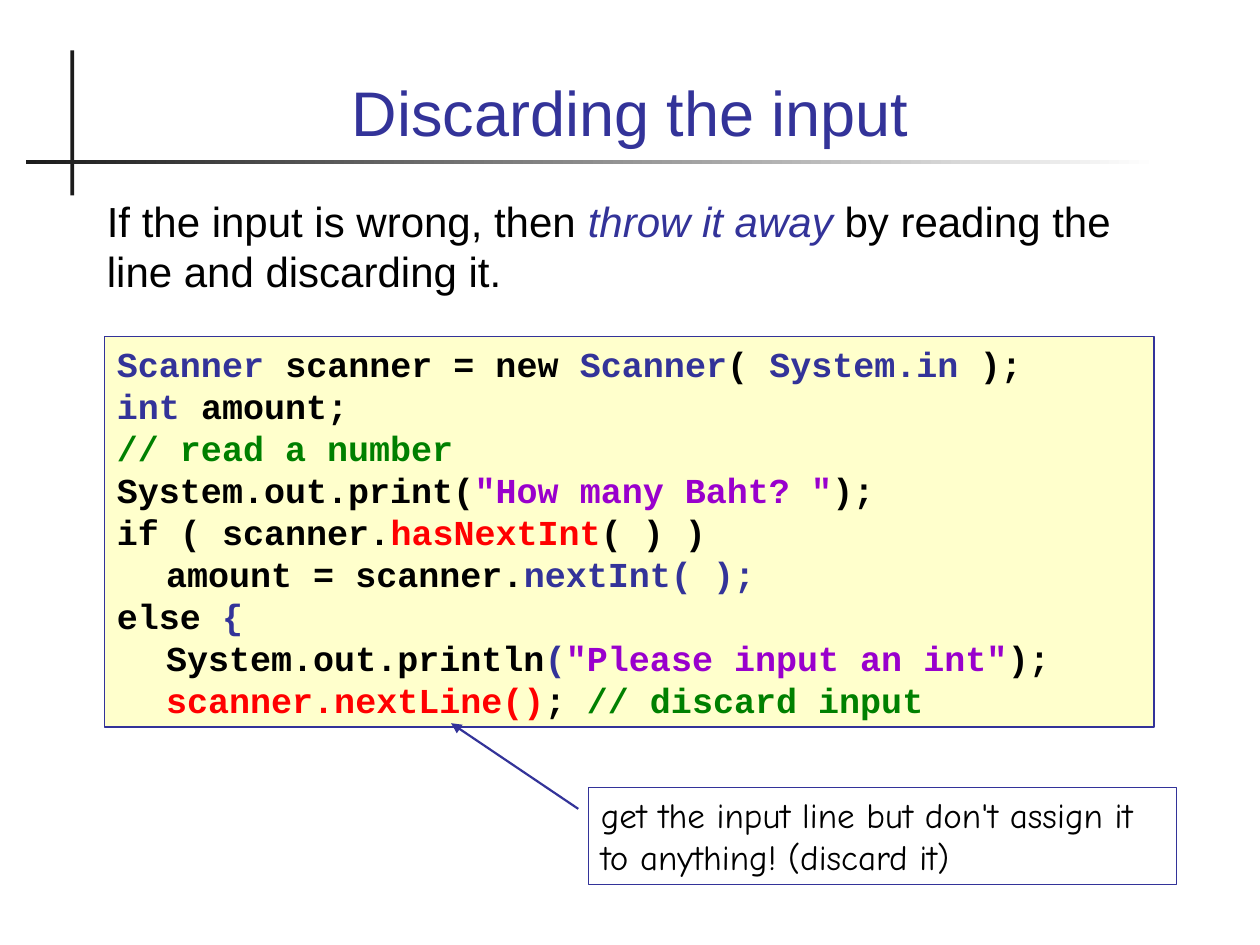
from lxml import etree
from pptx import Presentation
from pptx.dml.color import RGBColor
from pptx.enum.shapes import MSO_CONNECTOR, MSO_SHAPE
from pptx.enum.text import MSO_ANCHOR, PP_ALIGN
from pptx.oxml.ns import qn
from pptx.util import Inches, Pt

RECTANGLE, STRAIGHT = MSO_SHAPE.RECTANGLE, MSO_CONNECTOR.STRAIGHT
TOP, BOTTOM = MSO_ANCHOR.TOP, MSO_ANCHOR.BOTTOM
LEFT, CENTER = PP_ALIGN.LEFT, PP_ALIGN.CENTER
WIDTH, HEIGHT = 10, 7.5
TAB_STOP = 0.39
LINE_RATIO = 1.2
NAVY, BLACK, WHITE, INK = "333399", "000000", "FFFFFF", "1C1C1C"
GREEN, PURPLE, RED, CREAM = "008000", "9900CC", "FF0000", "FFFFCC"

TITLE_FORMAT = {"name": "Arial", "size": Pt(36)}
BODY_FORMAT = {"name": "Arial", "size": Pt(24)}
CODE_FORMAT = {"name": "Courier New", "size": Pt(20), "bold": True}
NOTE_FORMAT = {"name": "Comic Neue", "size": Pt(20)}

TITLE = [[("Discarding the input", NAVY)]]
BODY = [[("If the input is wrong, then ", BLACK),
         ("throw it away", NAVY, {"italic": True}),
         (" by reading the line and discarding it.", BLACK)]]
NOTE = [[("get the input line but don't assign it to anything! (discard it)", BLACK)]]
CODE = [
    [("Scanner ", NAVY), ("scanner = new ", BLACK), ("Scanner", NAVY),
     ("(", BLACK), (" System.in ", NAVY), (");", BLACK)],
    [("int ", NAVY), ("amount;", BLACK)],
    [("// read a number", GREEN)],
    [("System.out.print(", BLACK), ('"How many Baht? "', PURPLE), (");", BLACK)],
    [("if ( scanner.", BLACK), ("hasNextInt", RED), ("( ) )", BLACK)],
    [("\tamount = scanner.", BLACK), ("nextInt( );", NAVY)],
    [("else", BLACK), (" {", NAVY)],
    [("\tSystem.out.println", BLACK), ("(", NAVY),
     ('"Please input an int"', PURPLE), (");", BLACK)],
    [("\tscanner.nextLine()", RED), ("; ", BLACK), ("// discard input", GREEN)],
]


def color(hex_value):
    """Turn a hex string into a colour."""
    return RGBColor.from_string(hex_value)


def place(left, top, width, height):
    """Turn shares of the slide into a position and size."""
    return (Inches(left * WIDTH), Inches(top * HEIGHT),
            Inches(width * WIDTH), Inches(height * HEIGHT))


def add_tab_stop(paragraph):
    """Give a paragraph the indent stop used by the code."""
    tabs = etree.SubElement(paragraph._p.get_or_add_pPr(), qn("a:tabLst"))
    etree.SubElement(tabs, qn("a:tab"), pos=str(Inches(TAB_STOP)), algn="l")


def write_text(frame, lines, font_format, align=LEFT, anchor=TOP):
    """Fill a text frame with lines of coloured runs."""
    frame.word_wrap = True
    frame.vertical_anchor = anchor
    for number, line in enumerate(lines):
        paragraph = frame.add_paragraph() if number else frame.paragraphs[0]
        paragraph.alignment = align
        paragraph.line_spacing = Pt(font_format["size"].pt * LINE_RATIO)
        if line[0][0].startswith("\t"):
            add_tab_stop(paragraph)
        for words, hex_value, *emphasis in line:
            run = paragraph.add_run()
            run.text = words
            run.font.color.rgb = color(hex_value)
            for formats in (font_format, *emphasis):
                for attribute, value in formats.items():
                    setattr(run.font, attribute, value)


def add_text(slide, area, lines, font_format, **layout):
    """Add plain text in an area of the slide."""
    write_text(slide.shapes.add_textbox(*place(*area)).text_frame,
               lines, font_format, **layout)


def add_panel(slide, area, fill, lines, font_format):
    """Add a bordered panel with text."""
    panel = slide.shapes.add_shape(RECTANGLE, *place(*area))
    panel.shadow.inherit = False
    panel.fill.solid()
    panel.fill.fore_color.rgb = color(fill)
    panel.line.color.rgb = color(NAVY)
    panel.line.width = Pt(0.75)
    write_text(panel.text_frame, lines, font_format)


def add_rule(slide, area, fade=False):
    """Add a thin dark bar, optionally fading out to the right."""
    rule = slide.shapes.add_shape(RECTANGLE, *place(*area))
    rule.shadow.inherit = False
    rule.line.fill.background()
    if fade:
        rule.fill.gradient()
        rule.fill.gradient_angle = 180
        for stop, hex_value in zip(rule.fill.gradient_stops, (WHITE, INK)):
            stop.color.rgb = color(hex_value)
    else:
        rule.fill.solid()
        rule.fill.fore_color.rgb = color(INK)


def add_arrow(slide, start, end):
    """Add an arrow between two points given as shares of the slide."""
    arrow = slide.shapes.add_connector(STRAIGHT, *place(*start, *end))
    arrow.line.color.rgb = color(NAVY)
    arrow.line.width = Pt(1.25)
    etree.SubElement(arrow.line._get_or_add_ln(), qn("a:tailEnd"), type="triangle")
    etree.SubElement(arrow._element.spPr, qn("a:effectLst"))


def main():
    """Build the slide and save it."""
    deck = Presentation()
    deck.slide_width, deck.slide_height = Inches(WIDTH), Inches(HEIGHT)
    slide = deck.slides.add_slide(deck.slide_layouts[6])
    add_rule(slide, (0.056, 0.4 / HEIGHT, 0.003, 1.15 / HEIGHT))
    add_rule(slide, (0.021, 1.27 / HEIGHT, 0.899, 0.03 / HEIGHT), fade=True)
    add_text(slide, (0.067, 0.28 / HEIGHT, 0.866, 0.95 / HEIGHT), TITLE,
             TITLE_FORMAT, align=CENTER, anchor=BOTTOM)
    add_text(slide, (0.075, 0.2, 0.85, 0.92 / HEIGHT), BODY, BODY_FORMAT)
    add_panel(slide, (0.467, 6.25 / HEIGHT, 0.467, 0.77 / HEIGHT), WHITE, NOTE, NOTE_FORMAT)
    add_panel(slide, (0.083, 2.67 / HEIGHT, 0.833, 3.1 / HEIGHT), CREAM, CODE, CODE_FORMAT)
    add_arrow(slide, (0.459, 6.42 / HEIGHT), (0.358, 5.74 / HEIGHT))
    deck.save("out.pptx")


if __name__ == "__main__":
    main()
